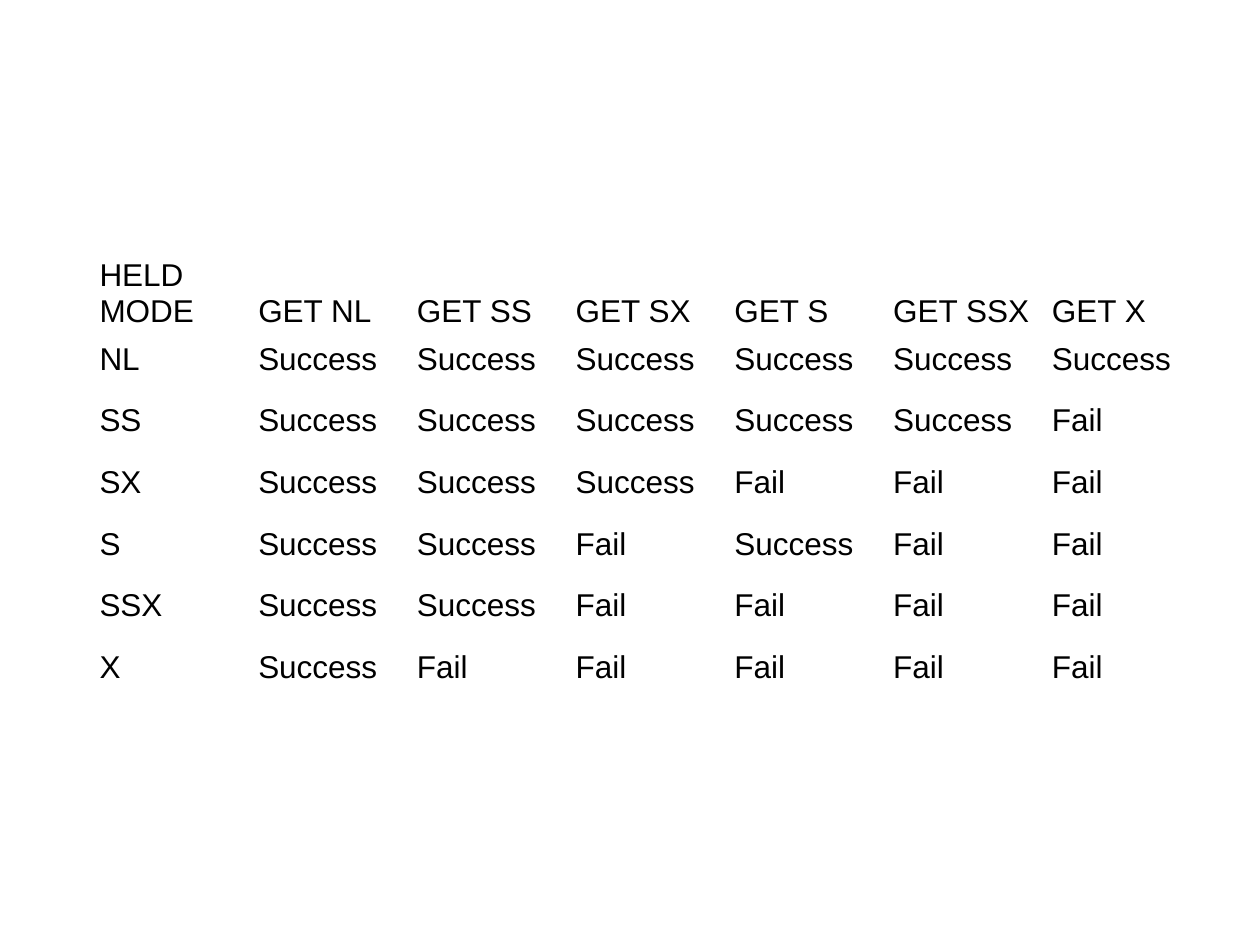
from pptx import Presentation
from pptx.dml.color import RGBColor
from pptx.enum.text import MSO_ANCHOR
from pptx.util import Inches, Pt

TOP, BOTTOM = MSO_ANCHOR.TOP, MSO_ANCHOR.BOTTOM
COLORS = {"page": "FFFFFF", "text": "000000"}
FONT = {"name": "Arial", "size": Pt(18), "bold": False}
INSETS = {
    "margin_left": Inches(0.04), "margin_right": Inches(0.04),
    "margin_top": Inches(0.05), "margin_bottom": Inches(0.05),
}
PLAIN = {"first_row": False, "horz_banding": False}

LEFT, UPPER = 0.75, 1.78
COL, HEAD, ROW = 1.26, 0.88, 0.49

MODES = ["NL", "SS", "SX", "S", "SSX", "X"]
# One mark per requested mode, in the order of MODES: + succeeds, - fails.
GRANTS = ["++++++", "+++++-", "+++---", "++-+--", "++----", "+-----"]
RESULT = {"+": "Success", "-": "Fail"}


def apply(target, values):
    for name, value in values.items():
        setattr(target, name, value)


def lock_rows():
    head = ["HELD MODE"] + [f"GET {mode}" for mode in MODES]
    body = [[mode] + [RESULT[mark] for mark in marks]
            for mode, marks in zip(MODES, GRANTS)]
    return [head] + body


def fill_cell(cell, text, anchor):
    cell.text = text
    cell.fill.background()
    apply(cell, {**INSETS, "vertical_anchor": anchor})
    font = cell.text_frame.paragraphs[0].runs[0].font
    apply(font, FONT)
    font.color.rgb = RGBColor.from_string(COLORS["text"])


def add_grid(slide, rows):
    count, width = len(rows), len(rows[0])
    high = HEAD + ROW * (count - 1)
    table = slide.shapes.add_table(
        count, width, Inches(LEFT), Inches(UPPER),
        Inches(COL * width), Inches(high)).table
    apply(table, PLAIN)
    for col in table.columns:
        col.width = Inches(COL)
    for r, texts in enumerate(rows):
        table.rows[r].height = Inches(ROW if r else HEAD)
        for c, text in enumerate(texts):
            fill_cell(table.cell(r, c), text, TOP if r else BOTTOM)


def main():
    deck = Presentation()
    apply(deck, {"slide_width": Inches(10), "slide_height": Inches(7.5)})
    slide = deck.slides.add_slide(deck.slide_layouts[6])
    page = slide.background.fill
    page.solid()
    page.fore_color.rgb = RGBColor.from_string(COLORS["page"])
    add_grid(slide, lock_rows())
    deck.save("out.pptx")


if __name__ == "__main__":
    main()
